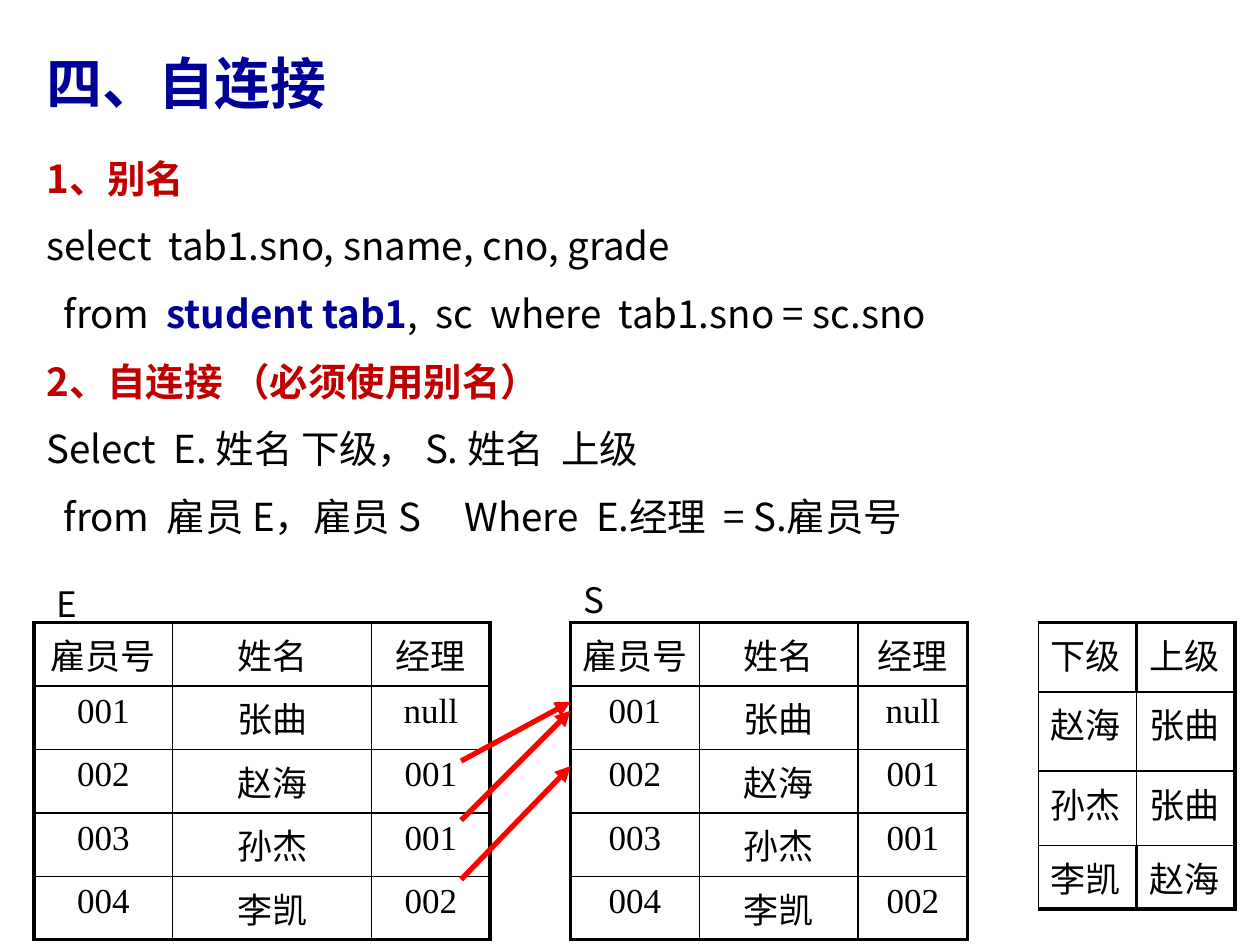
from lxml.etree import SubElement
from pptx import Presentation
from pptx.dml.color import RGBColor
from pptx.enum.shapes import MSO_CONNECTOR
from pptx.enum.text import MSO_ANCHOR, MSO_AUTO_SIZE as AutoSize, PP_ALIGN
from pptx.oxml.ns import qn
from pptx.util import Inches, Pt

BLACK = RGBColor(0, 0, 0)
NAVY = RGBColor(0, 0, 0x99)
CRIMSON = RGBColor(0xC0, 0, 0)
RED = RGBColor(0xFF, 0, 0)
SANS, SERIF = "Noto Sans CJK SC", "Times New Roman"
THIN, THICK = 1, 2.25

# Content: each line is a list of (text, colour, bold)
TITLE = "四、自连接"
LINES = [
    [("1、别名", CRIMSON, True)],
    [("select  tab1.sno, sname, cno, grade", BLACK, False)],
    [("  from  ", BLACK, False), ("student tab1", NAVY, True),
     (",  sc  where  tab1.sno = sc.sno", BLACK, False)],
    [("2、自连接 （必须使用别名）", CRIMSON, True)],
    [("Select  E. 姓名 下级， S. 姓名  上级", BLACK, False)],
    [("  from  雇员 E，雇员 S     Where  E.经理  = S.雇员号", BLACK, False)],
]
EMPLOYEES = [
    ("雇员号", "姓名", "经理"),
    ("001", "张曲", "null"),
    ("002", "赵海", "001"),
    ("003", "孙杰", "001"),
    ("004", "李凯", "002"),
]
PAIRS = [("下级", "上级"), ("赵海", "张曲"), ("孙杰", "张曲"), ("李凯", "赵海")]

TABLE_TOP = 4.94
TABLES = [
    dict(rows=PAIRS, left=8.24, widths=(0.78, 0.78), heights=(0.55, 0.63, 0.59, 0.47),
         inset=0.1, align=PP_ALIGN.LEFT, left_edge=THIN, thick_divider_rows=(0, 3)),
    dict(rows=EMPLOYEES, left=0.27, widths=(1.1, 1.58, 0.94), heights=(0.43,) + (0.46,) * 4,
         inset=0.1, align=PP_ALIGN.CENTER, left_edge=THICK, thick_divider_rows=()),
    dict(rows=EMPLOYEES, left=4.53, widths=(1.02, 1.26, 0.87), heights=(0.44,) + (0.46,) * 4,
         inset=0, align=PP_ALIGN.CENTER, left_edge=THICK, thick_divider_rows=()),
]
TABLE_NAMES = [("E", 0.35, 4.57), ("S", 4.53, 4.54)]
ARROW_X = (3.66, 4.53)
ARROW_YS = [(6.04, 5.57), (6.51, 5.64), (6.98, 6.08)]


def style(span, size, color, bold=False, face=SANS):
    font = span.font
    font.size, font.bold, font.name = Pt(size), bold, face
    font.color.rgb = color
    SubElement(span._r.get_or_add_rPr(), qn("a:ea"), typeface=SANS)


def hang(para):
    para.line_spacing = 1.3
    props = para._p.get_or_add_pPr()
    props.set("marL", str(Inches(0.42)))
    props.set("indent", str(-Inches(0.42)))


def set_borders(cell, widths):
    """Insert the four border lines ahead of the cell's fill."""
    props = cell._tc.get_or_add_tcPr()
    for place, (side, width) in enumerate(zip(("lnL", "lnR", "lnT", "lnB"), widths)):
        line = SubElement(props, qn("a:" + side), w=str(Pt(width)))
        fill = SubElement(line, qn("a:solidFill"))
        SubElement(fill, qn("a:srgbClr"), val=str(BLACK))
        props.insert(place, line)


def add_grid(page, rows, left, widths, heights, inset, align, left_edge, thick_divider_rows):
    frame = page.shapes.add_table(
        len(rows), len(widths), Inches(left), Inches(TABLE_TOP),
        Inches(sum(widths)), Inches(sum(heights)))
    table = frame.table
    table.first_row = table.horz_banding = False
    for column, width in zip(table.columns, widths):
        column.width = Inches(width)
    last_row, last_col = len(rows) - 1, len(widths) - 1
    for r, values in enumerate(rows):
        table.rows[r].height = Inches(heights[r])
        divider = THICK if r in thick_divider_rows else THIN
        for c, value in enumerate(values):
            cell = table.cell(r, c)
            cell.fill.background()
            cell.margin_left = cell.margin_right = Inches(inset)
            cell.margin_top = cell.margin_bottom = Inches(0.05)
            cell.text_frame.text = value
            para = cell.text_frame.paragraphs[0]
            para.alignment = align
            style(para.runs[0], 20, BLACK, face=SERIF)
            set_borders(cell, (
                left_edge if c == 0 else divider,
                THICK if c == last_col else divider,
                THICK if r == 0 else THIN,
                THICK if r == last_row else THIN))


deck = Presentation()
deck.slide_width, deck.slide_height = Inches(10), Inches(7.5)
page = deck.slides.add_slide(deck.slide_layouts[5])

# Title
title = page.shapes.title
title.left, title.top, title.width, title.height = map(Inches, (0.27, 0.21, 9.16, 0.73))
title.text_frame.text = TITLE
title.text_frame.vertical_anchor = MSO_ANCHOR.MIDDLE
title.text_frame.auto_size = AutoSize.NONE
heading = title.text_frame.paragraphs[0]
heading.alignment = PP_ALIGN.LEFT
hang(heading)
style(heading.runs[0], 32, NAVY, True)

# Explanation and queries
body = page.shapes.add_textbox(*map(Inches, (0.27, 1.07, 9.61, 3.39))).text_frame
body.word_wrap = True
body.auto_size = AutoSize.TEXT_TO_FIT_SHAPE
for number, spans in enumerate(LINES):
    para = body.add_paragraph() if number else body.paragraphs[0]
    hang(para)
    if number:
        para.space_before = Pt(4.4)
    for text, color, bold in spans:
        span = para.add_run()
        span.text = text
        style(span, 22, color, bold)

# Tables and their names
for grid in TABLES:
    add_grid(page, **grid)
for name, left, top in TABLE_NAMES:
    box = page.shapes.add_textbox(Inches(left), Inches(top), Inches(0.36), Inches(0.44))
    box.text_frame.word_wrap = False
    box.text_frame.text = name
    style(box.text_frame.paragraphs[0].runs[0], 20, BLACK)

# Arrows from each manager number to the employee row
for start, end in ARROW_YS:
    arrow = page.shapes.add_connector(
        MSO_CONNECTOR.STRAIGHT, Inches(ARROW_X[0]), Inches(start), Inches(ARROW_X[1]), Inches(end))
    arrow.line.color.rgb = RED
    arrow.line.width = Pt(3)
    SubElement(arrow.line._get_or_add_ln(), qn("a:tailEnd"), type="triangle")
    SubElement(arrow._element.spPr, qn("a:effectLst"))

deck.save("out.pptx")
